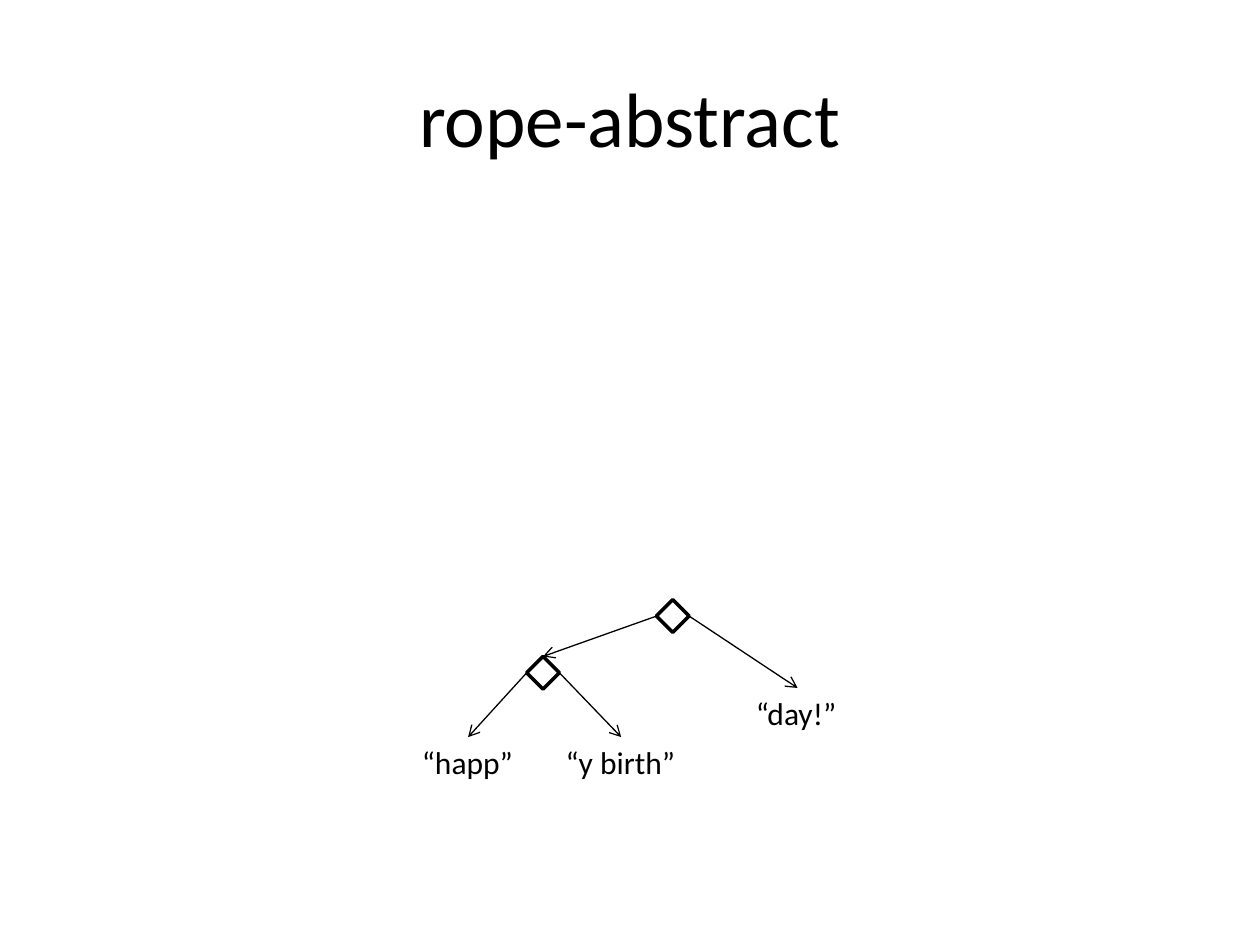
from dataclasses import dataclass

from lxml import etree
from pptx import Presentation
from pptx.dml.color import RGBColor
from pptx.enum.shapes import MSO_CONNECTOR, MSO_SHAPE
from pptx.enum.text import MSO_ANCHOR, MSO_AUTO_SIZE, PP_ALIGN
from pptx.oxml.ns import qn
from pptx.util import Inches, Pt

DIAMOND = MSO_SHAPE.DIAMOND
STRAIGHT = MSO_CONNECTOR.STRAIGHT
MIDDLE = MSO_ANCHOR.MIDDLE
CENTER = PP_ALIGN.CENTER
GROW = MSO_AUTO_SIZE.SHAPE_TO_FIT_TEXT
TOP, LEFT, RIGHT = 0, 1, 3


@dataclass(frozen=True)
class Theme:
    ink: RGBColor = RGBColor(0x00, 0x00, 0x00)
    paper: RGBColor = RGBColor(0xFF, 0xFF, 0xFF)
    font: str = "Calibri"
    title_size: Pt = Pt(44)
    leaf_size: Pt = Pt(18)
    node_line: Pt = Pt(2)
    edge_line: Pt = Pt(0.75)


THEME = Theme()
NODE_SIZE = 0.26
LEAF_HEIGHT = 0.4


def add_run(paragraph, text, size):
    run = paragraph.add_run()
    run.text = text
    run.font.name = THEME.font
    run.font.size = size
    run.font.color.rgb = THEME.ink


def add_title(slide, text):
    title = slide.shapes.add_textbox(Inches(0.5), Inches(0.3), Inches(9), Inches(1.25))
    frame = title.text_frame
    frame.word_wrap = True
    frame.vertical_anchor = MIDDLE
    frame.paragraphs[0].alignment = CENTER
    add_run(frame.paragraphs[0], text, THEME.title_size)


def add_node(slide, left, top):
    """Concatenation node of the rope."""
    node = slide.shapes.add_shape(
        DIAMOND, Inches(left), Inches(top), Inches(NODE_SIZE), Inches(NODE_SIZE))
    node.shadow.inherit = False
    node.fill.solid()
    node.fill.fore_color.rgb = THEME.paper
    node.line.color.rgb = THEME.ink
    node.line.width = THEME.node_line
    return node


def add_leaf(slide, text, left, top, width):
    """String fragment at the end of a branch."""
    leaf = slide.shapes.add_textbox(
        Inches(left), Inches(top), Inches(width), Inches(LEAF_HEIGHT))
    frame = leaf.text_frame
    frame.word_wrap = False
    frame.auto_size = GROW
    add_run(frame.paragraphs[0], text, THEME.leaf_size)
    return leaf


def add_edge(slide, parent, side, child):
    """Arrow from one side of the parent to the top of the child."""
    edge = slide.shapes.add_connector(STRAIGHT, 0, 0, 0, 0)
    edge.begin_connect(parent, side)
    edge.end_connect(child, TOP)
    edge.line.color.rgb = THEME.ink
    edge.line.width = THEME.edge_line
    etree.SubElement(edge.line._get_or_add_ln(), qn("a:tailEnd"), type="arrow")
    etree.SubElement(edge._element.spPr, qn("a:effectLst"))


def main():
    prs = Presentation()
    prs.slide_width, prs.slide_height = Inches(10), Inches(7.5)
    slide = prs.slides.add_slide(prs.slide_layouts[6])

    add_title(slide, "rope-abstract")

    # Inner nodes
    root = add_node(slide, 5.21, 4.76)
    birthday_start = add_node(slide, 4.18, 5.21)

    # String fragments
    happ = add_leaf(slide, "“happ”", 3.25, 5.85, 0.93)
    y_birth = add_leaf(slide, "“y birth”", 4.39, 5.85, 1.08)
    day = add_leaf(slide, "“day!”", 5.9, 5.46, 0.86)

    # Branches
    for parent, left_child, right_child in (
        (root, birthday_start, day),
        (birthday_start, happ, y_birth),
    ):
        add_edge(slide, parent, LEFT, left_child)
        add_edge(slide, parent, RIGHT, right_child)

    prs.save("out.pptx")


if __name__ == "__main__":
    main()
